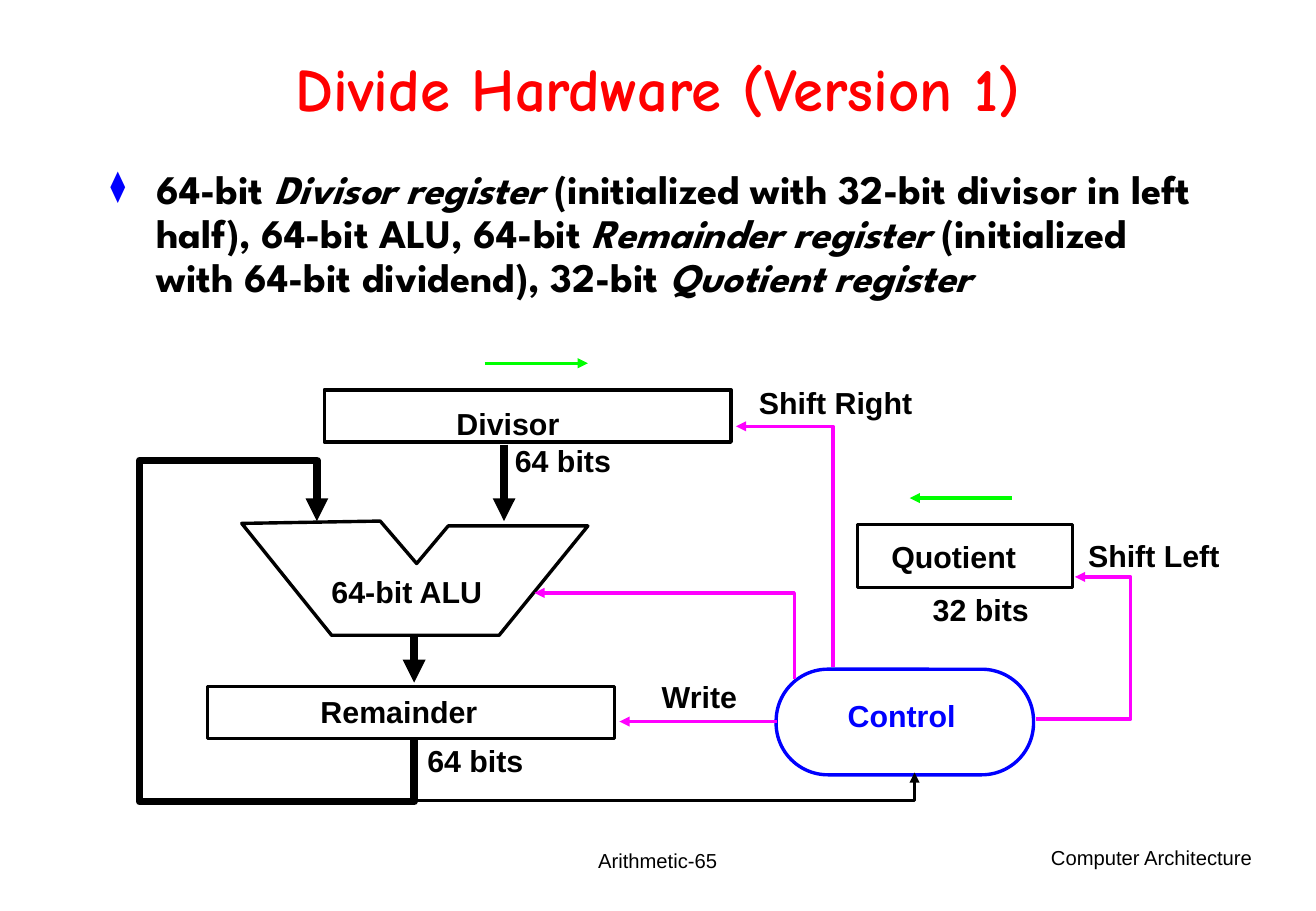
from typing import NamedTuple

from lxml.etree import SubElement
from pptx import Presentation
from pptx.dml.color import RGBColor as Rgb
from pptx.enum.shapes import MSO_CONNECTOR as Link, MSO_SHAPE as Form
from pptx.enum.text import MSO_ANCHOR as Anchor, PP_ALIGN as Align
from pptx.oxml.ns import qn
from pptx.util import Pt

HUES = {
    "black": "000000",
    "red": "FF0000",
    "blue": "0000FF",
    "green": "00FF00",
    "pink": "FF00FF",
}
THIN, THICK = 2, 4.5
REG_W, REG_H = 241.2, 31
LABEL_H = 28.8


class Box(NamedTuple):
    x: float
    y: float
    w: float
    h: float
    form: Form = Form.RECTANGLE
    hue: str = "black"


class Label(NamedTuple):
    text: str
    x: float
    y: float
    w: float
    hue: str = "black"


class Wire(NamedTuple):
    points: list[tuple[float, float]]
    hue: str
    width: float = THIN


BOXES = [
    Box(123.1, 406.8, REG_W, REG_H),
    Box(508.3, 311, 127.4, 37.4),
    Box(192.2, 231.1, REG_W, REG_H),
    Box(460.1, 396.7, 152.6, 62.6, Form.ROUNDED_RECTANGLE, "blue"),
]

LABELS = [
    Label("Remainder", 182.9, 407.5, 107.3),
    Label("Quotient", 521.3, 315.4, 88.6),
    Label("Divisor", 263.5, 236.9, 75.6),
    Label("64-bit ALU", 189.4, 336.2, 104.4),
    Label("Shift Right", 442.8, 223.9, 105.8),
    Label("Shift Left", 637.9, 314.6, 92.9),
    Label("Write", 385.2, 398.2, 59.8),
    Label("Control", 495.4, 409.7, 78.5, "blue"),
    Label("32 bits", 545.8, 347, 71.3),
    Label("64 bits", 298.1, 258.5, 71.3),
    Label("64 bits", 246.2, 436.3, 71.3),
]

ALU = [(143.3, 310.3), (196.6, 376.6), (295.9, 376.6), (348.5, 311.8),
       (265.7, 311.8), (247, 334.1), (225.4, 308.9)]

WIRES = [
    Wire([(287.3, 215.3), (348.5, 215.3)], "green"),
    Wire([(599.8, 295.2), (539.3, 295.2)], "green"),
    Wire([(614.2, 426.2), (670.3, 426.2), (670.3, 342), (637.2, 342)], "pink"),
    Wire([(493.9, 395.3), (493.9, 252.7), (436.3, 252.7)], "pink"),
    Wire([(470.9, 402.5), (470.9, 351.4), (316.8, 351.4)], "pink"),
    Wire([(460.8, 427.7), (367.2, 427.7)], "pink"),
    Wire([(245.5, 375.8), (245.5, 404.6)], "black", THICK),
    Wire([(245.5, 438.5), (245.5, 475.2), (82.8, 475.2), (82.8, 272.9),
          (187.9, 272.9), (187.9, 308.9)], "black", THICK),
    Wire([(298.8, 263.5), (298.8, 308.9)], "black", THICK),
    Wire([(246.2, 474.5), (542.2, 474.5), (542.2, 457.9)], "black"),
]

BODY = [
    ("64-bit ", False),
    ("Divisor register", True),
    (" (initialized with 32-bit divisor in left half), 64-bit ALU, 64-bit ", False),
    ("Remainder register", True),
    (" (initialized with 64-bit dividend), 32-bit ", False),
    ("Quotient register", True),
]


def tint(name: str) -> Rgb:
    return Rgb.from_string(HUES[name])


def add_mark(para, char: str, hue: str) -> None:
    props = para._p.get_or_add_pPr()
    props.set("marL", str(Pt(27.4)))
    props.set("indent", str(Pt(-27.4)))
    color = SubElement(props, qn("a:buClr"))
    SubElement(color, qn("a:srgbClr"), val=HUES[hue])
    SubElement(props, qn("a:buSzPct"), val="75000")
    SubElement(props, qn("a:buChar"), char=char)


def add_text(slide, runs, x: float, y: float, w: float, h: float, *,
             size: float = 18, font: str = "Arial", hue: str = "black",
             bold: bool = True, align: Align = Align.LEFT,
             anchor: Anchor = Anchor.TOP, wrap: bool = False,
             space: float = 1.0, mark: str = "") -> None:
    frame = slide.shapes.add_textbox(Pt(x), Pt(y), Pt(w), Pt(h)).text_frame
    frame.word_wrap = wrap
    frame.vertical_anchor = anchor
    para = frame.paragraphs[0]
    if mark:
        add_mark(para, mark, "blue")
    para.alignment = align
    para.line_spacing = space
    for text, slant in [(runs, False)] if isinstance(runs, str) else runs:
        run = para.add_run()
        run.text = text
        run.font.name = font
        run.font.size = Pt(size)
        run.font.bold = bold
        run.font.italic = slant
        run.font.color.rgb = tint(hue)


def set_line(shape, hue: str, width: float = THIN) -> None:
    shape.line.color.rgb = tint(hue)
    shape.line.width = Pt(width)


def add_box(slide, box: Box) -> None:
    shape = slide.shapes.add_shape(box.form, Pt(box.x), Pt(box.y), Pt(box.w), Pt(box.h))
    shape.shadow.inherit = False
    shape.fill.background()
    set_line(shape, box.hue)
    if box.form == Form.ROUNDED_RECTANGLE:
        shape.adjustments[0] = 0.49


def add_path(slide, points: list[tuple[float, float]], close: bool):
    first, *rest = [(Pt(x), Pt(y)) for x, y in points]
    pen = slide.shapes.build_freeform(*first)
    pen.add_line_segments(rest, close=close)
    shape = pen.convert_to_shape()
    shape.shadow.inherit = False
    shape.fill.background()
    return shape


def add_wire(slide, wire: Wire) -> None:
    straight = len(wire.points) == 2
    if straight:
        ends = [Pt(v) for point in wire.points for v in point]
        shape = slide.shapes.add_connector(Link.STRAIGHT, *ends)
    else:
        shape = add_path(slide, wire.points, False)
    set_line(shape, wire.hue, wire.width)
    line = shape.line._get_or_add_ln()
    SubElement(line, qn("a:round"))
    SubElement(line, qn("a:tailEnd"), type="triangle")
    if straight:
        SubElement(shape._element.spPr, qn("a:effectLst"))


def main() -> None:
    deck = Presentation()
    deck.slide_width, deck.slide_height = Pt(780.12), Pt(540)
    slide = deck.slides.add_slide(deck.slide_layouts[6])
    add_text(slide, "Computer Architecture", 584.6, 497.5, 164.9, 36,
             size=12, bold=False, align=Align.RIGHT)
    add_text(slide, "Arithmetic-65", 266.4, 491.8, 247, 36, size=12,
             bold=False, align=Align.CENTER, anchor=Anchor.MIDDLE)
    for box in BOXES:
        add_box(slide, box)
    for label in LABELS:
        add_text(slide, label.text, label.x, label.y, label.w, LABEL_H, hue=label.hue)
    set_line(add_path(slide, ALU, True), "black")
    for wire in WIRES:
        add_wire(slide, wire)
    add_text(slide, "Divide Hardware (Version 1)", 58.3, 19.4, 663.1, 71.3,
             size=36, font="Comic Neue", hue="red", align=Align.CENTER,
             anchor=Anchor.MIDDLE, wrap=True, space=0.85)
    add_text(slide, BODY, 58.3, 97.2, 663.1, 400.3, size=24,
             font="League Spartan", wrap=True, space=0.9, mark="⧫")
    deck.save("out.pptx")


if __name__ == "__main__":
    main()
